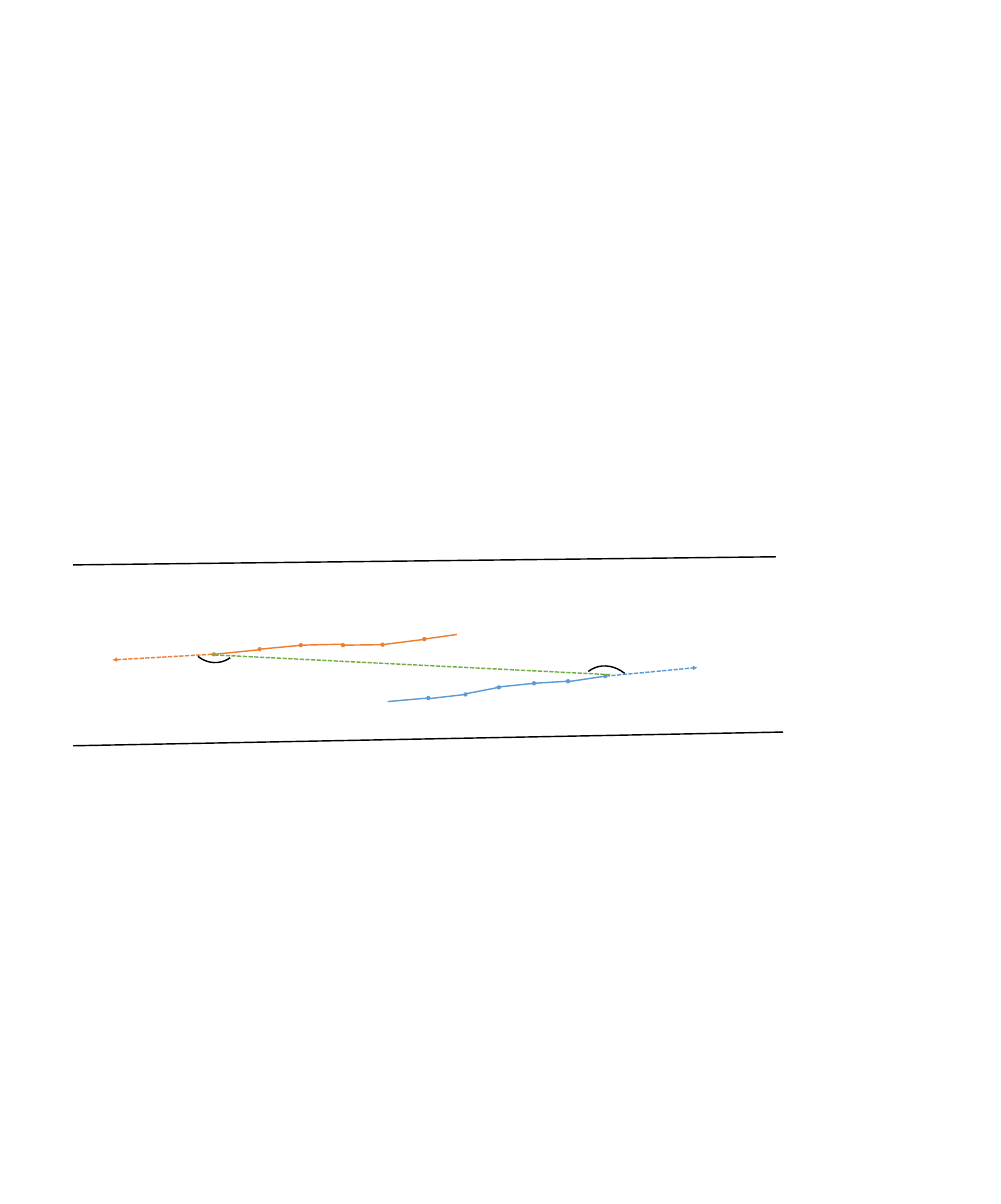
import pptx
import pptx.dml.color
import pptx.enum.dml
import pptx.enum.shapes
import pptx.oxml.ns
import pptx.util
from lxml import etree

Inches = pptx.util.Inches
RGBColor = pptx.dml.color.RGBColor

ORANGE = RGBColor(0xED, 0x7D, 0x31)
BLUE = RGBColor(0x5B, 0x9B, 0xD5)
GREEN = RGBColor(0x70, 0xAD, 0x47)
BLACK = RGBColor(0, 0, 0)

# Each track step is (start, end), in inches; a dot marks the start.
ORANGE_TRACK = [
    ((4.21, 12.88), (5.11, 12.79)),
    ((5.11, 12.78), (5.94, 12.70)),
    ((5.92, 12.70), (6.76, 12.68)),
    ((6.75, 12.70), (7.53, 12.69)),
    ((7.53, 12.69), (8.32, 12.59)),
    ((8.35, 12.58), (8.99, 12.49)),
]
BLUE_TRACK = [
    ((8.43, 13.74), (7.63, 13.81)),
    ((9.16, 13.67), (8.46, 13.75)),
    ((9.82, 13.53), (9.15, 13.66)),
    ((10.51, 13.45), (9.75, 13.53)),
    ((11.18, 13.41), (10.50, 13.45)),
    ((11.91, 13.31), (11.17, 13.42)),
]
WALLS = [
    ((1.44, 11.12), (15.27, 10.96)),
    ((1.44, 14.68), (15.41, 14.41)),
]


class Diagram:
    line_width = pptx.util.Pt(2)
    arc_degrees = (270, 344.51)

    def __init__(self, slide):
        self.slide = slide

    def style_line(self, line, color):
        line.color.rgb = color
        line.width = self.line_width

    def line(self, start, end, color, dashed=False, head=None, tail=None):
        connector = self.slide.shapes.add_connector(
            pptx.enum.shapes.MSO_CONNECTOR.STRAIGHT,
            *(Inches(value) for value in (*start, *end)))
        self.style_line(connector.line, color)
        if dashed:
            connector.line.dash_style = pptx.enum.dml.MSO_LINE.SQUARE_DOT
        properties = connector._element.spPr
        outline = properties.find(pptx.oxml.ns.qn("a:ln"))
        for tag, kind in (("a:headEnd", head), ("a:tailEnd", tail)):
            if kind:
                etree.SubElement(outline, pptx.oxml.ns.qn(tag), type=kind)
        etree.SubElement(properties, pptx.oxml.ns.qn("a:effectLst"))

    def track(self, steps, color):
        for start, end in steps:
            self.line(start, end, color, head="oval")

    def heading(self, start, end, color):
        """Draw the dashed arrow that extends a track."""
        self.line(start, end, color, dashed=True, tail="triangle")

    def angle_arc(self, left, top, width, height, rotation):
        arc = self.slide.shapes.add_shape(
            pptx.enum.shapes.MSO_SHAPE.ARC,
            Inches(left), Inches(top), Inches(width), Inches(height))
        for index, degrees in enumerate(self.arc_degrees):
            # 60000 units per degree, on a scale of 100000
            arc.adjustments[index] = degrees * 0.6
        arc.rotation = rotation
        arc.shadow.inherit = False
        arc.fill.background()
        self.style_line(arc.line, BLACK)


def main():
    presentation = pptx.Presentation()
    presentation.slide_width = Inches(19.7)
    presentation.slide_height = Inches(23.7)
    diagram = Diagram(
        presentation.slides.add_slide(presentation.slide_layouts[6]))

    diagram.track(ORANGE_TRACK, ORANGE)
    diagram.track(BLUE_TRACK, BLUE)
    diagram.heading((11.92, 13.31), (13.72, 13.14), BLUE)
    diagram.line((12.01, 13.28), (4.17, 12.89), GREEN, dashed=True)
    diagram.heading((4.17, 12.88), (2.22, 12.99), ORANGE)
    diagram.angle_arc(3.7, 11.98, 1.03, 1.07, 143.8)
    for start, end in WALLS:
        diagram.line(start, end, BLACK)
    diagram.angle_arc(11.42, 13.08, 1.1, 1.25, 321.3)

    presentation.save("out.pptx")


if __name__ == "__main__":
    main()
